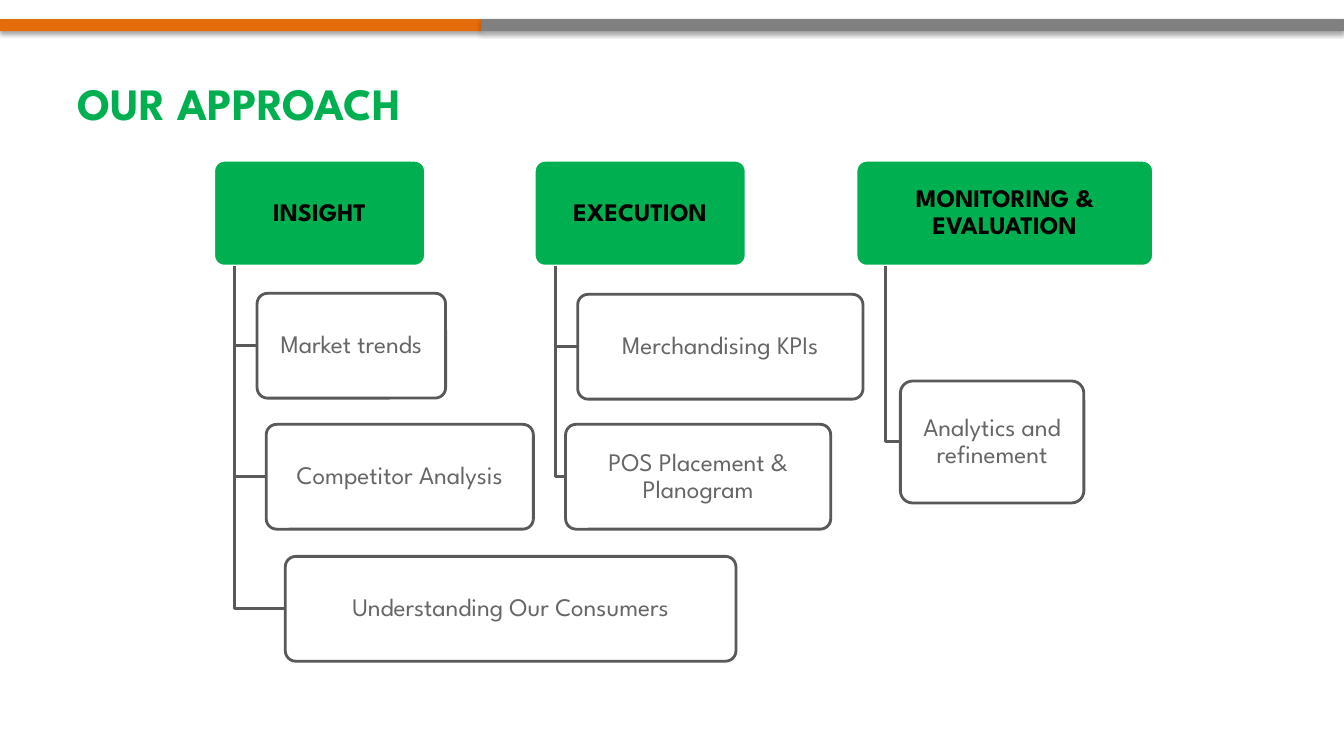
from lxml import etree
from pptx import Presentation
from pptx.dml.color import RGBColor
from pptx.enum.shapes import MSO_SHAPE
from pptx.enum.text import MSO_ANCHOR, PP_ALIGN
from pptx.oxml.ns import qn
from pptx.util import Pt

PX = 9144  # 100 px to the inch
RECT, ROUNDED = MSO_SHAPE.RECTANGLE, MSO_SHAPE.ROUNDED_RECTANGLE
LEFT, CENTER, MIDDLE = PP_ALIGN.LEFT, PP_ALIGN.CENTER, MSO_ANCHOR.MIDDLE
FONT = "League Spartan"
GREEN, ORANGE, GREY = "00B050", "E46C0A", "808080"
WHITE, BLACK, LINE, TEXT = "FFFFFF", "000000", "595959", "666666"

HEAD_TOP, HEAD_H = 159, 105
# heading, left, width, spine x, children (label, left, top, width, height)
COLUMNS = [
    ("INSIGHT", 212, 210, 233, [
        ("Market trends", 255, 291, 187, 104),
        ("Competitor Analysis", 264, 421, 265, 104),
        ("Understanding Our Consumers", 283, 552, 447, 104)]),
    ("EXECUTION", 530, 210, 551, [
        ("Merchandising KPIs", 573, 292, 283, 104),
        ("POS Placement & Planogram", 561, 421, 263, 104)]),
    ("MONITORING & EVALUATION", 849, 295, 878, [
        ("Analytics and refinement", 893, 378, 182, 121)]),
]


def paint(fill, color):
    fill.solid()
    fill.fore_color.rgb = RGBColor.from_string(color)


def assign(obj, values):
    for name, value in values.items():
        setattr(obj, name, value)


class Deck:
    def __init__(self, width, height):
        self.prs = Presentation()
        assign(self.prs, {"slide_width": width * PX, "slide_height": height * PX})
        self.s = self.prs.slides.add_slide(self.prs.slide_layouts[5])

    def add_text(self, sp, text, size, color, bold, align):
        tf = sp.text_frame
        assign(tf, {"word_wrap": True, "vertical_anchor": MIDDLE})
        p = tf.paragraphs[0]
        p.alignment = align
        r = p.add_run()
        r.text = text
        assign(r.font, {"name": FONT, "size": Pt(size), "bold": bold})
        paint(r.font.fill, color)
        return tf, p

    def title(self, text, x, y, w, h):
        sp = self.s.shapes.title
        assign(sp, {"left": x * PX, "top": y * PX, "width": w * PX, "height": h * PX})
        self.add_text(sp, text, 32, GREEN, True, LEFT)

    def shape(self, kind, x, y, w, h, fill):
        sp = self.s.shapes.add_shape(kind, x * PX, y * PX, w * PX, h * PX)
        sp.shadow.inherit = False
        paint(sp.fill, fill)
        sp.line.fill.background()
        return sp

    def bar(self, x, y, w, h, fill):
        sp = self.shape(RECT, x, y, w, h, fill)
        effects = sp._element.spPr.find(qn("a:effectLst"))
        shadow = etree.SubElement(effects, qn("a:outerShdw"), blurRad="39370",
                                  dist="22860", dir="5400000", rotWithShape="0")
        color = etree.SubElement(shadow, qn("a:srgbClr"), val=BLACK)
        etree.SubElement(color, qn("a:alpha"), val="35000")

    def box(self, label, x, y, w, h, fill, line, color, bold=False):
        sp = self.shape(ROUNDED, x, y, w, h, fill)
        sp.adjustments[0] = 0.1
        self.stroke(sp, line)
        tf, p = self.add_text(sp, label, 18, color, bold, CENTER)
        p.line_spacing = 0.9
        assign(tf, {"margin_left": 7 * PX, "margin_right": 7 * PX,
                    "margin_top": 6 * PX, "margin_bottom": 6 * PX})

    def stroke(self, sp, color):
        sp.line.width = Pt(2)
        paint(sp.line.fill, color)

    def elbow(self, x, y, end_x, end_y):
        builder = self.s.shapes.build_freeform(x * PX, y * PX)
        builder.add_line_segments([(x * PX, end_y * PX), (end_x * PX, end_y * PX)],
                                  close=False)
        sp = builder.convert_to_shape()
        sp.shadow.inherit = False
        sp.fill.background()
        self.stroke(sp, LINE)


def main():
    deck = Deck(1333, 750)

    # Top band and title
    deck.bar(0, 19, 477, 12, ORANGE)
    deck.bar(477, 19, 856, 12, GREY)
    deck.title("OUR APPROACH", 67, 56, 1200, 91)

    # Hierarchy: headings with the steps hanging below
    for heading, left, width, spine, children in COLUMNS:
        deck.box(heading, left, HEAD_TOP, width, HEAD_H, GREEN, WHITE, BLACK, True)
        for label, x, y, w, h in children:
            deck.elbow(spine, HEAD_TOP + HEAD_H, x, y + h // 2)
            deck.box(label, x, y, w, h, WHITE, LINE, TEXT)

    deck.prs.save("out.pptx")


if __name__ == "__main__":
    main()
